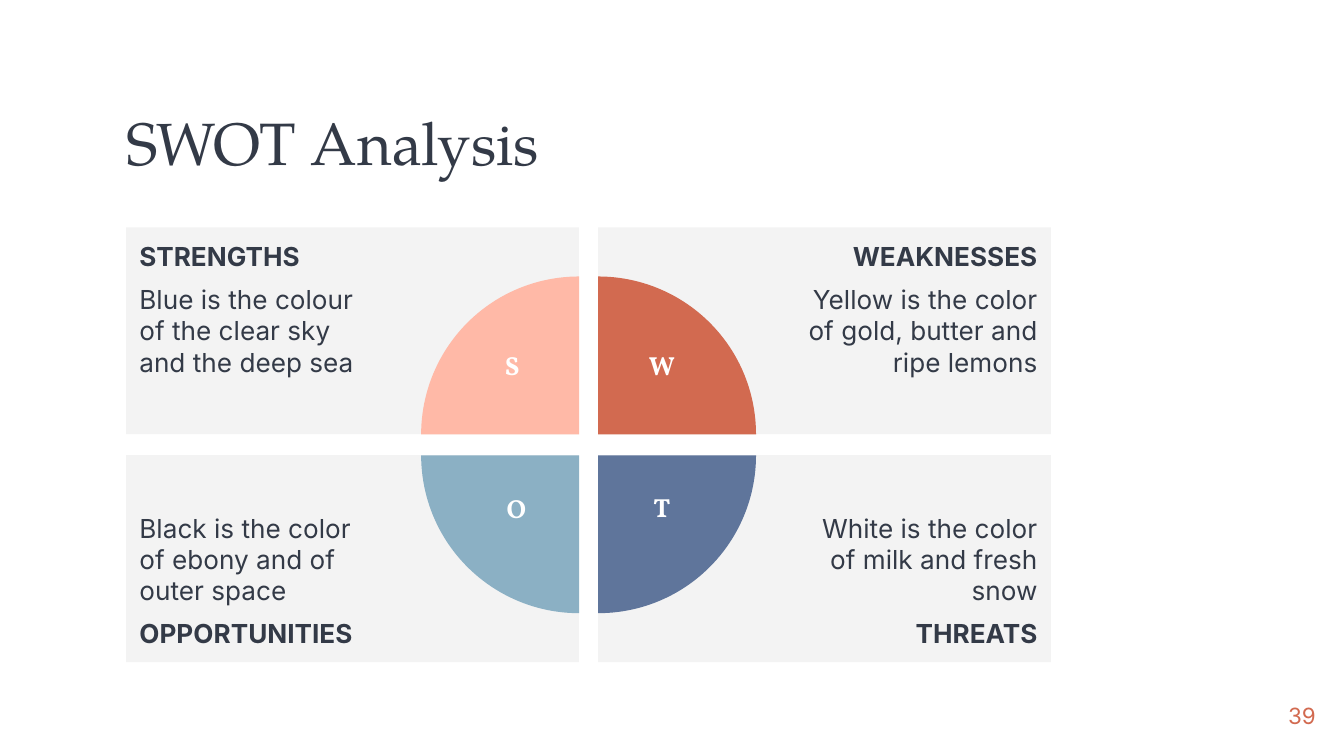
import dataclasses

import pptx
import pptx.dml.color
import pptx.enum.shapes
import pptx.enum.text
import pptx.util

Pt = pptx.util.Pt
RGBColor = pptx.dml.color.RGBColor
ALIGN = pptx.enum.text.PP_ALIGN
ANCHOR = pptx.enum.text.MSO_ANCHOR
SHAPE = pptx.enum.shapes.MSO_SHAPE

INK = RGBColor(0x33, 0x3A, 0x47)
WHITE = RGBColor(0xFF, 0xFF, 0xFF)
PANEL = RGBColor(0xF3, 0xF3, 0xF3)
PEACH = RGBColor(0xFF, 0xB9, 0xA7)
RUST = RGBColor(0xD2, 0x6A, 0x50)
SKY = RGBColor(0x8B, 0xB0, 0xC4)
SLATE = RGBColor(0x5F, 0x75, 0x9B)

PANEL_WIDTH, PANEL_HEIGHT = 242.6, 110.9
COLUMN_GAP, ROW_GAP = 10.2, 11.2
RADIUS = 84.6
PADDING, WEDGE_PADDING = 7.2, 108


@dataclasses.dataclass
class Quadrant:
    """One SWOT factor with its grid cell, texts and wedge."""
    row: int
    column: int
    heading: str
    description: str
    color: RGBColor
    rotation: int
    letter_offset: tuple
    letter_width: float


QUADRANTS = [
    Quadrant(0, 0, "STRENGTHS", "Blue is the colour of the clear sky and the deep sea",
             PEACH, 0, (-36.3, -33.3), 21),
    Quadrant(0, 1, "WEAKNESSES", "Yellow is the color of gold, butter and ripe lemons",
             RUST, 90, (34.2, -33.5), 42.5),
    Quadrant(1, 0, "OPPORTUNITIES", "Black is the color of ebony and of outer space",
             SKY, 270, (-33.5, 32), 31),
    Quadrant(1, 1, "THREATS", "White is the color of milk and fresh snow",
             SLATE, 180, (34.2, 31.6), 26.6),
]


def points(*lengths):
    """Convert numbers to point lengths."""
    return [Pt(length) for length in lengths]


def set_margins(frame, left, top, right, bottom):
    """Set the text insets of a frame."""
    (frame.margin_left, frame.margin_top,
     frame.margin_right, frame.margin_bottom) = points(left, top, right, bottom)


def format_paragraph(paragraph, font_name, size, color, align, bold=False):
    """Align a paragraph and style its runs."""
    paragraph.alignment = align
    for run in paragraph.runs:
        run.font.name = font_name
        run.font.size = Pt(size)
        run.font.color.rgb = color
        run.font.bold = bold


def add_plain_shape(slide, kind, box, color):
    """Add a shape with a flat fill and no line or shadow."""
    shape = slide.shapes.add_shape(kind, *points(*box))
    shape.shadow.inherit = False
    shape.fill.solid()
    shape.fill.fore_color.rgb = color
    shape.line.fill.background()
    return shape


def place_title(slide, box):
    """Fill and format the title placeholder."""
    title = slide.shapes.title
    title.left, title.top, title.width, title.height = points(*box)
    frame = title.text_frame
    frame.text = "SWOT Analysis"
    frame.auto_size = pptx.enum.text.MSO_AUTO_SIZE.NONE
    frame.vertical_anchor = ANCHOR.MIDDLE
    set_margins(frame, 0, 0, 0, 0)
    frame.paragraphs[0].line_spacing = 0.9
    format_paragraph(frame.paragraphs[0], "TeX Gyre Pagella", 32, INK, ALIGN.LEFT)


def add_page_number(slide, box):
    """Add the page number."""
    frame = slide.shapes.add_textbox(*points(*box)).text_frame
    frame.text = "39"
    frame.word_wrap = True
    frame.vertical_anchor = ANCHOR.MIDDLE
    set_margins(frame, 0, 0, 0, 0)
    format_paragraph(frame.paragraphs[0], "Inter", 12, RUST, ALIGN.RIGHT)


def add_panel(slide, box, quadrant):
    """Add the grey panel with heading and description."""
    frame = add_plain_shape(slide, SHAPE.RECTANGLE, box, PANEL).text_frame
    frame.word_wrap = True
    texts = [quadrant.heading, quadrant.description]
    frame.vertical_anchor = ANCHOR.TOP
    if quadrant.row:
        texts.reverse()
        frame.vertical_anchor = ANCHOR.BOTTOM
    align, left, right = ALIGN.LEFT, PADDING, WEDGE_PADDING
    if quadrant.column:
        align, left, right = ALIGN.RIGHT, WEDGE_PADDING, PADDING
    set_margins(frame, left, PADDING, right, PADDING)
    frame.text = "\n".join(texts)
    for paragraph in frame.paragraphs:
        format_paragraph(paragraph, "Inter", 14, INK, align,
                         paragraph.text == quadrant.heading)
    frame.paragraphs[1].space_before = Pt(6)
    frame.paragraphs[1].space_after = Pt(6)


def inner_corner(box, quadrant):
    """Return the panel corner nearest the middle of the grid."""
    left, top, width, height = box
    return left + width * (1 - quadrant.column), top + height * (1 - quadrant.row)


def add_wedge(slide, box, quadrant):
    """Add the quarter circle centred on the panel's inner corner."""
    x, y = inner_corner(box, quadrant)
    circle = (x - RADIUS, y - RADIUS, 2 * RADIUS, 2 * RADIUS)
    wedge = add_plain_shape(slide, SHAPE.PIE, circle, quadrant.color)
    wedge.adjustments[0] = 108
    wedge.adjustments[1] = 162
    wedge.rotation = quadrant.rotation


def add_letter(slide, box, quadrant):
    """Add the initial on the wedge."""
    x, y = inner_corner(box, quadrant)
    dx, dy = quadrant.letter_offset
    width, height = quadrant.letter_width, 31.4
    frame = slide.shapes.add_textbox(
        *points(x + dx - width / 2, y + dy - height / 2, width, height)).text_frame
    frame.text = quadrant.heading[0]
    format_paragraph(frame.paragraphs[0], "Vollkorn", 14, WHITE, ALIGN.CENTER, True)


def add_swot_grid(slide, left, top):
    """Add panels, wedges and letters in a two by two grid."""
    for add_part in (add_panel, add_wedge, add_letter):
        for quadrant in QUADRANTS:
            box = (left + quadrant.column * (PANEL_WIDTH + COLUMN_GAP),
                   top + quadrant.row * (PANEL_HEIGHT + ROW_GAP),
                   PANEL_WIDTH, PANEL_HEIGHT)
            add_part(slide, box, quadrant)


def main():
    """Build and save the slide."""
    presentation = pptx.Presentation()
    presentation.slide_width, presentation.slide_height = points(720, 405)
    slide = presentation.slides.add_slide(presentation.slide_layouts[5])
    place_title(slide, (67.6, 59, 358.6, 38.2))
    add_page_number(slide, (661.7, 368, 43.2, 31))
    add_swot_grid(slide, 67.6, 121.8)
    presentation.save("out.pptx")


if __name__ == "__main__":
    main()
